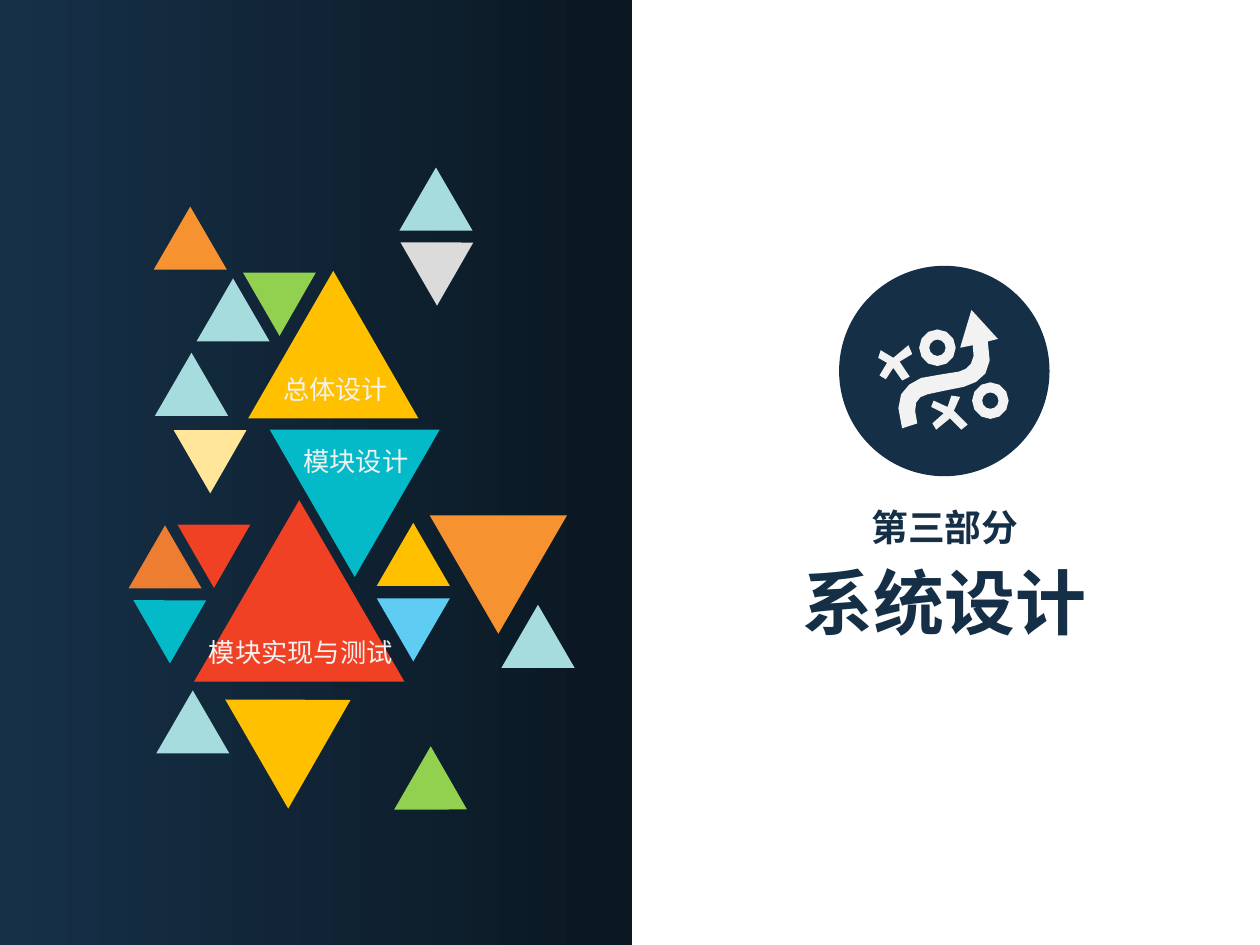
"""Build the section slide: a triangle mosaic on a dark panel beside a titled badge."""
from dataclasses import dataclass
from math import cos, pi, sin

from lxml import etree
from pptx import Presentation, util as u
from pptx.dml.color import RGBColor
from pptx.enum import shapes, text
from pptx.oxml.ns import qn


@dataclass(frozen=True)
class Theme:
    navy: str = "152F47"
    panel: tuple = ("163048", "0A1721")
    light: str = "F2F2F2"
    mist: str = "A7DCDE"
    cream: str = "FFE699"
    teal: str = "05BAC8"
    red: str = "F14124"
    rust: str = "ED7D31"
    orange: str = "F69230"
    green: str = "92D050"
    grey: str = "DBDBDB"
    gold: str = "FFC000"
    sky: str = "5ECCF3"
    face: str = "Noto Sans CJK SC"
    title: float = 40.5
    heading: float = 21
    label: float = 15


theme = Theme()
px = u.Inches(1) / 100
kind = shapes.MSO_SHAPE


def emu(*lengths):
    return [round(length * px) for length in lengths]


def paint(shape, color):
    shape.shadow.inherit = False
    shape.line.fill.background()
    shape.fill.solid()
    shape.fill.fore_color.rgb = RGBColor.from_string(color)


presentation = Presentation()
presentation.slide_width, presentation.slide_height = emu(1000, 750)
slide = presentation.slides.add_slide(presentation.slide_layouts[6])

panel = slide.shapes.add_shape(kind.RECTANGLE, *emu(0, 0, 502, 750))
paint(panel, theme.navy)
panel.fill.gradient()
panel.fill.gradient_angle = 0
for stop, position, color in zip(panel.fill.gradient_stops, (0, 1), theme.panel):
    stop.position = position
    stop.color.rgb = RGBColor.from_string(color)

badge = slide.shapes.add_group_shape()
paint(badge.shapes.add_shape(kind.OVAL, *emu(666, 211, 167, 167)), theme.navy)

arrow_steps = [
    (708, 315, 717, 306, 731, 300), (748, 297), (761, 295),
    (769, 293, 775, 287, 772, 274),
    (762, 276), (771, 246), (792, 269), (784, 271),
    (790, 295, 779, 303, 765, 307), (750, 310), (736, 313),
    (727, 315, 724, 321, 728, 336),
]
arrow = [(716, 340)]
for step in arrow_steps:
    if len(step) == 2:
        arrow.append(step)
        continue
    controls = [arrow[-1], step[:2], step[2:4], step[4:]]
    for t in (0.25, 0.5, 0.75, 1):
        weights = ((1 - t) ** 3, 3 * t * (1 - t) ** 2, 3 * t * t * (1 - t), t ** 3)
        arrow.append(tuple(sum(w * c[axis] for w, c in zip(weights, controls))
                           for axis in (0, 1)))

crosses = [
    [(699, 278), (697, 284), (704, 288), (698, 298), (703, 301), (709, 292),
     (716, 302), (722, 299), (714, 287), (724, 281), (721, 274), (709, 284)],
    [(762, 315), (755, 314), (752, 323), (741, 318), (739, 323), (749, 328),
     (740, 336), (743, 341), (754, 332), (763, 341), (768, 337), (757, 326)],
]
rings = [
    [(x + r * cos(pi * i / 6), y + r * sin(pi * i / 6)) for i in range(12)]
    for x, y in ((786, 318), (744, 276)) for r in (14.5, 6.5)
]

fine = 10
builder = badge.shapes.build_freeform(*(fine * c for c in arrow[0]), scale=px / fine)
for index, contour in enumerate([arrow, *crosses, *rings]):
    points = [(fine * x, fine * y) for x, y in contour]
    if index:
        builder.move_to(*points[0])
    builder.add_line_segments(points[1:], close=True)
paint(builder.convert_to_shape(), theme.light)

small, medium, large = (58, 50), (135, 117), (167, 144)
triangles = [
    (123, 280, small, 0, False, theme.mist),
    (317, 133, small, 0, False, theme.mist),
    (145, 329, small, 60, False, theme.cream),
    (214, 341, medium, 0, True, theme.teal),
    (154, 397, large, 0, False, theme.red),
    (124, 548, small, 0, False, theme.mist),
    (102, 417, small, 0, False, theme.rust),
    (122, 164, small, 0, False, theme.orange),
    (156, 221, small, 0, False, theme.mist),
    (200, 204, small, 60, False, theme.green),
    (325, 180, small, 60, False, theme.grey),
    (113, 464, small, 60, False, theme.teal),
    (341, 409, (109, 94), 180, False, theme.orange),
    (299, 415, small, 0, False, theme.gold),
    (299, 475, small, 0, True, theme.sky),
    (148, 404, small, 60, False, theme.red),
    (191, 534, (100, 86), 60, False, theme.gold),
    (398, 480, small, 0, False, theme.mist),
    (197, 215, medium, 0, False, theme.gold),
    (320, 605, small, 300, True, theme.green),
]
for left, top, size, rotation, flipped, color in triangles:
    triangle = slide.shapes.add_shape(kind.ISOSCELES_TRIANGLE, *emu(left, top, *size))
    triangle.rotation = rotation
    if flipped:
        triangle._element.spPr.xfrm.set("flipV", "1")
    paint(triangle, color)

center, start = text.PP_ALIGN.CENTER, text.PP_ALIGN.LEFT
captions = [
    ("系统设计", (626, 438, 247, 78), theme.title, theme.navy, True, center),
    ("第三部分", (681, 396, 138, 45), theme.heading, theme.navy, True, center),
    ("总体设计", (215, 291, 104, 35), theme.label, theme.light, False, start),
    ("模块设计", (231, 348, 104, 35), theme.label, theme.light, False, start),
    ("模块实现与测试", (156, 500, 167, 35), theme.label, theme.light, False, start),
]
frame_format = {
    "word_wrap": False,
    "auto_size": text.MSO_AUTO_SIZE.NONE,
    "vertical_anchor": text.MSO_ANCHOR.MIDDLE,
    "margin_top": 0,
    "margin_bottom": 0,
}
for words, box, size, color, bold, alignment in captions:
    frame = slide.shapes.add_textbox(*emu(*box)).text_frame
    for name, value in frame_format.items():
        setattr(frame, name, value)
    paragraph = frame.paragraphs[0]
    paragraph.alignment = alignment
    run = paragraph.add_run()
    run.text = words
    run.font.color.rgb = RGBColor.from_string(color)
    for name, value in {"name": theme.face, "size": u.Pt(size), "bold": bold}.items():
        setattr(run.font, name, value)
    etree.SubElement(run._r.rPr, qn("a:ea"), typeface=theme.face)

presentation.save("out.pptx")
